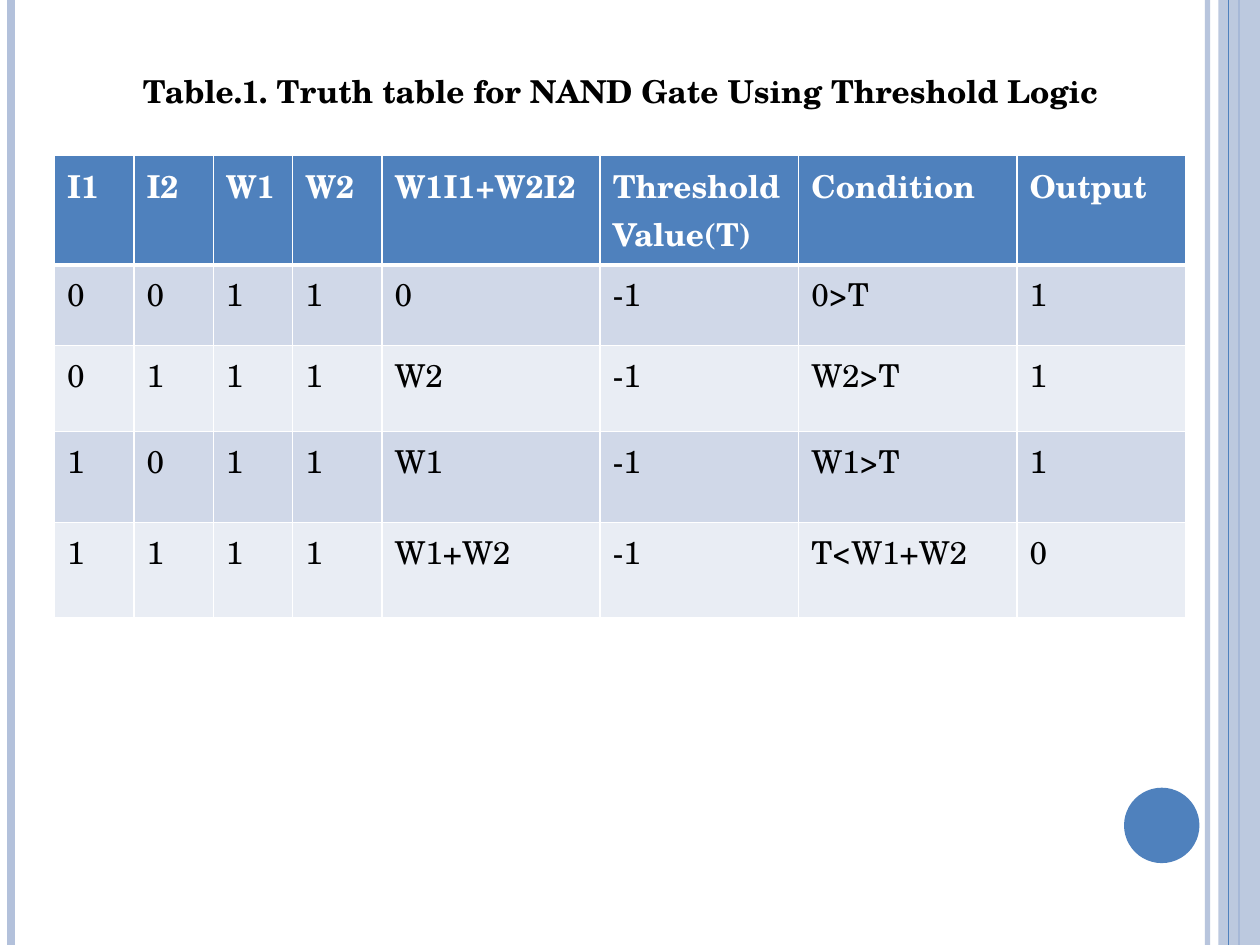
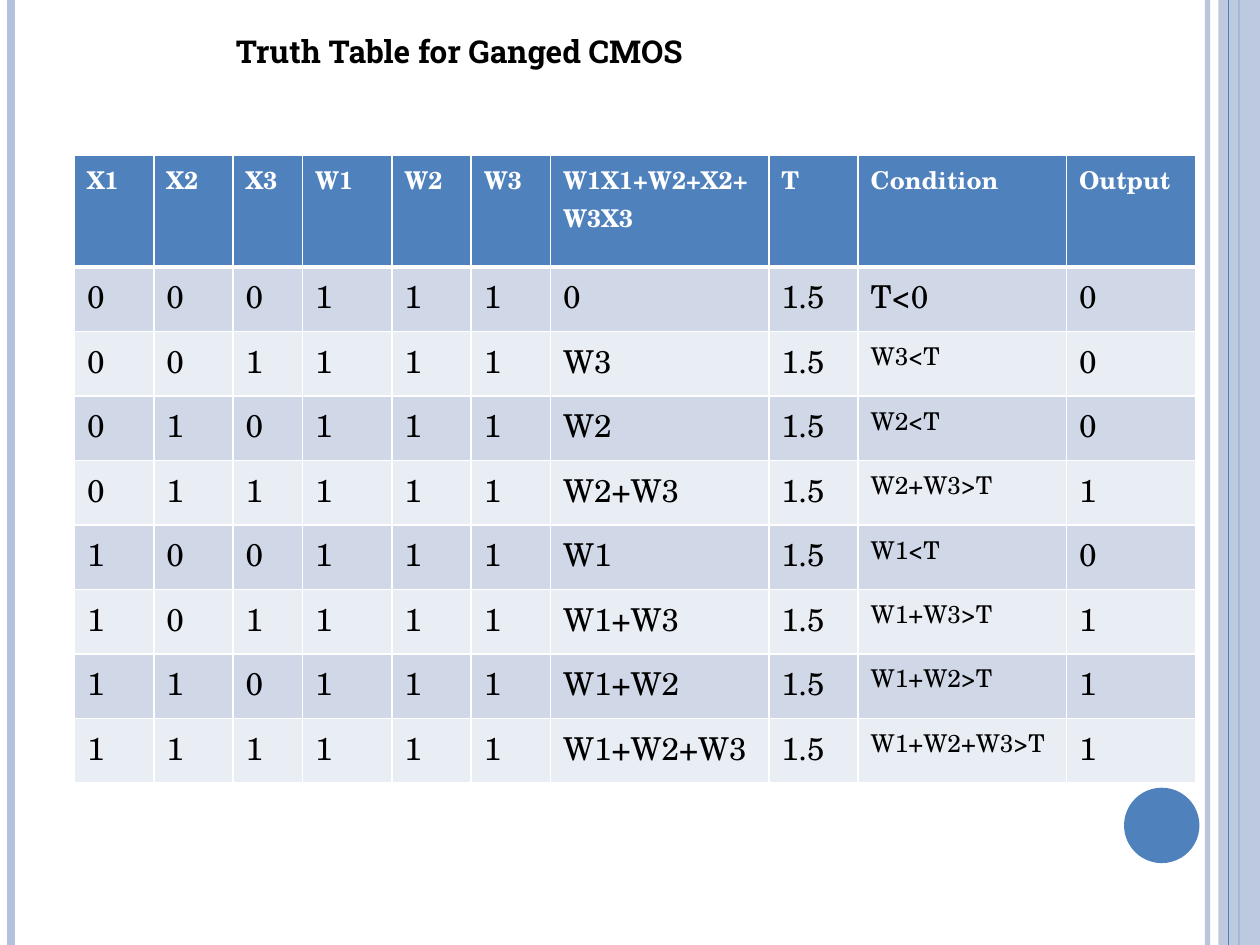
"""Build two truth-table slides for threshold logic gates."""
from dataclasses import dataclass

from lxml.etree import SubElement
from pptx import Presentation
from pptx.dml.color import RGBColor
from pptx.enum.shapes import MSO_CONNECTOR, MSO_SHAPE
from pptx.enum.text import MSO_ANCHOR, MSO_AUTO_SIZE, PP_ALIGN
from pptx.oxml.ns import qn
from pptx.util import Cm, Pt


@dataclass(frozen=True)
class Theme:
    blue: str = "4F81BD"
    pale_blue: str = "B3C1DB"
    odd_row: str = "D0D8E8"
    even_row: str = "E9EDF4"
    white: str = "FFFFFF"
    black: str = "000000"
    serif: str = "TeX Gyre Schola"
    slab: str = "Roboto Slab"
    large: int = 18
    small: int = 14


THEME = Theme()
PAGE_WIDTH, PAGE_HEIGHT = 25.4, 19.05
TABLE_TOP = 3.12

PAGES = [
    {
        "title": "Table.1. Truth table for NAND Gate Using Threshold Logic",
        "title_place": (2.01, 1.32, 21, 1.02),
        "title_font": THEME.serif,
        "title_align": PP_ALIGN.CENTER,
        "left": 1.1,
        "columns": (1.6, 1.6, 1.6, 1.8, 4.4, 4, 4.4, 3.4),
        "heights": (2.18, 1.63, 1.73, 1.83, 1.93),
        "header_size": THEME.large,
        "header": ("I1", "I2", "W1", "W2", "W1I1+W2I2", "Threshold Value(T)",
                   "Condition", "Output"),
        "rows": (
            "0 0 1 1 0 -1 0>T 1",
            "0 1 1 1 W2 -1 W2>T 1",
            "1 0 1 1 W1 -1 W1>T 1",
            "1 1 1 1 W1+W2 -1 T<W1+W2 0",
        ),
        "small_cells": (),
    },
    {
        "title": "Truth Table for Ganged CMOS",
        "title_place": (4.5, 0.51, 12.7, 1.02),
        "title_font": THEME.slab,
        "title_align": PP_ALIGN.LEFT,
        "left": 1.5,
        "columns": (1.6, 1.6, 1.4, 1.8, 1.6, 1.6, 4.4, 1.8, 4.2, 2.6),
        "heights": (2.26,) + (1.3,) * 8,
        "header_size": THEME.small,
        "header": ("X1", "X2", "X3", "W1", "W2", "W3", "W1X1+W2+X2+W3X3", "T",
                   "Condition", "Output"),
        "rows": (
            "0 0 0 1 1 1 0 1.5 T<0 0",
            "0 0 1 1 1 1 W3 1.5 W3<T 0",
            "0 1 0 1 1 1 W2 1.5 W2<T 0",
            "0 1 1 1 1 1 W2+W3 1.5 W2+W3>T 1",
            "1 0 0 1 1 1 W1 1.5 W1<T 0",
            "1 0 1 1 1 1 W1+W3 1.5 W1+W3>T 1",
            "1 1 0 1 1 1 W1+W2 1.5 W1+W2>T 1",
            "1 1 1 1 1 1 W1+W2+W3 1.5 W1+W2+W3>T 1",
        ),
        "small_cells": [(row, 8) for row in range(2, 9)],
    },
]


def rgb(color):
    return RGBColor.from_string(color)


def write(frame, text, *, font=THEME.serif, size=THEME.large, color=THEME.black,
          bold=False, align=PP_ALIGN.LEFT):
    para = frame.paragraphs[0]
    para.alignment = align
    span = para.add_run()
    span.text = text
    span.font.name, span.font.size, span.font.bold = font, Pt(size), bold
    span.font.color.rgb = rgb(color)


def set_opacity(owner, percent):
    color = next(owner.iter(qn("a:srgbClr")))
    SubElement(color, qn("a:alpha"), val=str(percent * 1000))


def add_rule(page, x, color, width, opacity=100):
    rule = page.shapes.add_connector(
        MSO_CONNECTOR.STRAIGHT, Cm(x), 0, Cm(x), Cm(PAGE_HEIGHT))
    rule.line.color.rgb = rgb(color)
    rule.line.width = Pt(width)
    if opacity < 100:
        set_opacity(rule._element.spPr, opacity)
    SubElement(rule._element.spPr, qn("a:effectLst"))


def add_block(page, kind, place, color):
    block = page.shapes.add_shape(kind, *map(Cm, place))
    block.shadow.inherit = False
    block.fill.solid()
    block.fill.fore_color.rgb = rgb(color)
    block.line.fill.background()
    return block


def add_decoration(page):
    add_rule(page, 24.34, THEME.pale_blue, 3, opacity=93)
    add_rule(page, 0.22, THEME.pale_blue, 4.5)
    add_rule(page, 24.98, THEME.blue, 1.5)
    band = add_block(page, MSO_SHAPE.RECTANGLE,
                     (24.56, 0, PAGE_WIDTH - 24.56, PAGE_HEIGHT), THEME.pale_blue)
    set_opacity(band._element.spPr, 87)
    add_rule(page, 24.77, THEME.blue, 0.75)
    add_block(page, MSO_SHAPE.OVAL, (22.66, 15.88, 1.52, 1.52), THEME.blue)


def add_title(page, content):
    title = page.shapes.title
    title.left, title.top, title.width, title.height = map(Cm, content["title_place"])
    frame = title.text_frame
    frame.word_wrap = True
    frame.auto_size = MSO_AUTO_SIZE.NONE
    frame.vertical_anchor = MSO_ANCHOR.TOP
    write(frame, content["title"], font=content["title_font"], bold=True,
          align=content["title_align"])


def set_borders(cell, widths):
    properties = cell._tc.get_or_add_tcPr()
    for side, width in widths.items():
        line = SubElement(properties, qn(f"a:ln{side}"), w=str(Pt(width)))
        fill = SubElement(line, qn("a:solidFill"))
        SubElement(fill, qn("a:srgbClr"), val=THEME.white)


def add_truth_table(page, content):
    columns, heights = content["columns"], content["heights"]
    table = page.shapes.add_table(
        len(heights), len(columns), Cm(content["left"]), Cm(TABLE_TOP),
        Cm(sum(columns)), Cm(sum(heights))).table
    table.horz_banding = False
    for column, width in zip(table.columns, columns):
        column.width = Cm(width)
    for row, height in zip(table.rows, heights):
        row.height = Cm(height)
    rows = [content["header"], *(line.split() for line in content["rows"])]
    for row, texts in enumerate(rows):
        header = row == 0
        fill = THEME.blue if header else THEME.odd_row if row % 2 else THEME.even_row
        for column, text in enumerate(texts):
            cell = table.cell(row, column)
            set_borders(cell, {"L": 1, "R": 1, "T": 3 if row == 1 else 1,
                               "B": 3 if header else 1})
            cell.fill.solid()
            cell.fill.fore_color.rgb = rgb(fill)
            small = (row, column) in content["small_cells"]
            size = THEME.small if small else THEME.large
            write(cell.text_frame, text, bold=header,
                  size=content["header_size"] if header else size,
                  color=THEME.white if header else THEME.black)


def main():
    deck = Presentation()
    deck.slide_width, deck.slide_height = Cm(PAGE_WIDTH), Cm(PAGE_HEIGHT)
    for content in PAGES:
        page = deck.slides.add_slide(deck.slide_layouts[5])
        add_decoration(page)
        add_title(page, content)
        add_truth_table(page, content)
    deck.save("out.pptx")


if __name__ == "__main__":
    main()
